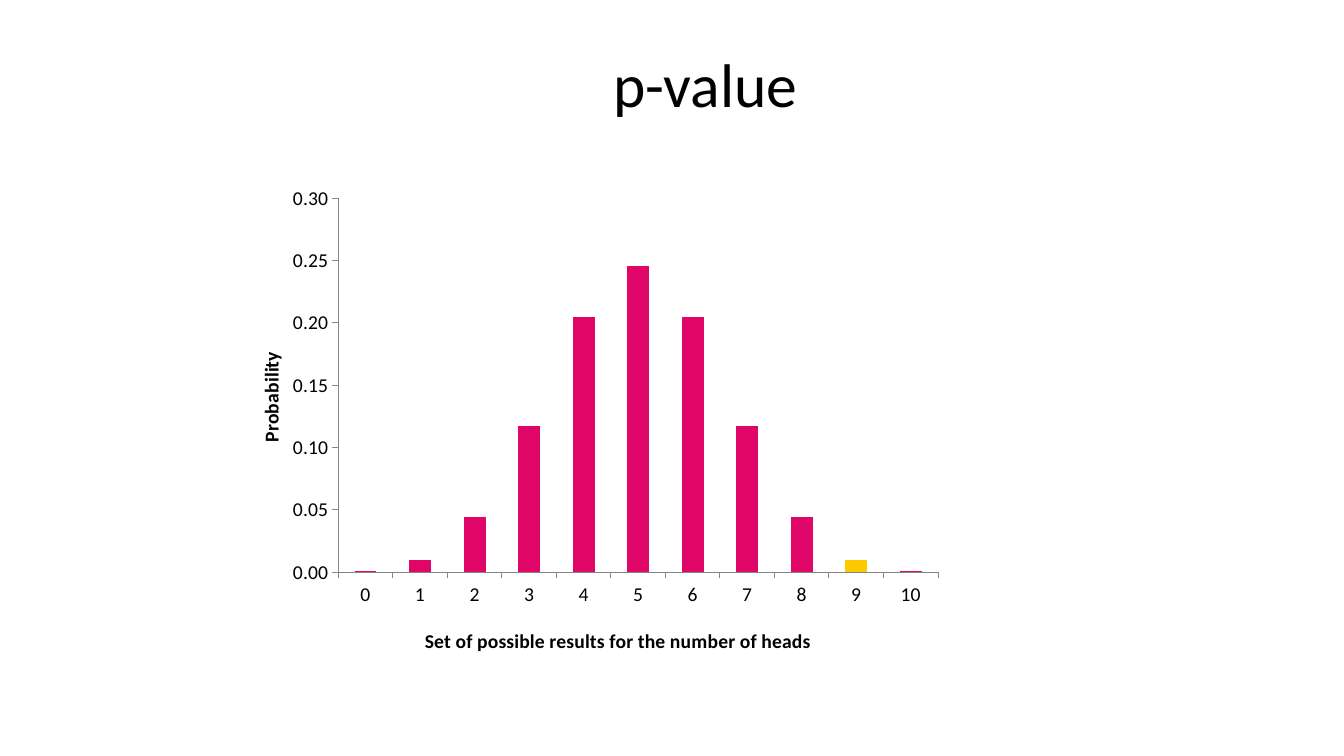
from pptx import Presentation
from pptx.chart.data import CategoryChartData
from pptx.dml.color import RGBColor
from pptx.enum.chart import XL_CHART_TYPE, XL_TICK_MARK
from pptx.enum.text import MSO_ANCHOR, PP_ALIGN
from pptx.oxml import parse_xml
from pptx.oxml.ns import nsdecls, qn
from pptx.util import Pt

FONT = "Calibri"
COLORS = {"text": "000000", "bar": "DF0667", "observed": "FBC900", "axis": "868686"}
PROBABILITIES = [0.001, 0.01, 0.044, 0.117, 0.205, 0.246,
                 0.205, 0.117, 0.044, 0.01, 0.001]
OBSERVED_HEADS = 9


def rgb(name):
    return RGBColor.from_string(COLORS[name])


def style_font(font, size, bold=False):
    font.name = FONT
    font.size = Pt(size)
    font.bold = bold
    font.color.rgb = rgb("text")


def set_layout(element, index, **fractions):
    """Place a chart part by fractions of the chart's size."""
    for old in element.findall(qn("c:layout")):
        element.remove(old)
    target = '<c:layoutTarget val="inner"/>' if "w" in fractions else ""
    modes = "".join(f'<c:{k}Mode val="edge"/>' for k in "xy")
    values = "".join(f'<c:{k} val="{v}"/>' for k, v in fractions.items())
    element.insert(index, parse_xml(
        f'<c:layout {nsdecls("c")}><c:manualLayout>{target}{modes}{values}'
        '</c:manualLayout></c:layout>'))


def add_title(s, text, left, top, width, height):
    sp = s.shapes.title
    sp.left, sp.top, sp.width, sp.height = Pt(left), Pt(top), Pt(width), Pt(height)
    tf = sp.text_frame
    tf.vertical_anchor = MSO_ANCHOR.MIDDLE
    p = tf.paragraphs[0]
    p.alignment = PP_ALIGN.CENTER
    r = p.add_run()
    r.text = text
    style_font(r.font, 44)


def style_axis(axis, title, x, y):
    axis.has_major_gridlines = False
    axis.major_tick_mark = XL_TICK_MARK.OUTSIDE
    axis.minor_tick_mark = XL_TICK_MARK.NONE
    axis.format.line.color.rgb = rgb("axis")
    axis.format.line.width = Pt(0.75)
    style_font(axis.tick_labels.font, 14)
    r = axis.axis_title.text_frame.paragraphs[0].add_run()
    r.text = title
    style_font(r.font, 14, bold=True)
    set_layout(axis.axis_title._element, 1, x=x, y=y)


def add_probability_chart(s, left, top, width, height):
    data = CategoryChartData(number_format="#,##0.00")
    data.categories = [str(heads) for heads in range(len(PROBABILITIES))]
    data.add_series("Series 1", PROBABILITIES)
    chart = s.shapes.add_chart(XL_CHART_TYPE.COLUMN_CLUSTERED, Pt(left), Pt(top),
                               Pt(width), Pt(height), data).chart
    chart.has_title = False
    chart.has_legend = False
    style_font(chart.font, 14)

    # Bars, with the observed result highlighted
    plot = chart.plots[0]
    plot.gap_width = 150
    plot.vary_by_categories = False
    series = plot.series[0]
    point = series.points[OBSERVED_HEADS]
    for part, color in ((series, "bar"), (point, "observed")):
        part.format.fill.solid()
        part.format.fill.fore_color.rgb = rgb(color)
    set_layout(plot._element.getparent(), 0, x=0.156, y=0.046, w=0.824, h=0.759)

    # Axes
    style_axis(chart.category_axis,
               "Set of possible results for the number of heads", 0.27, 0.91)
    axis = chart.value_axis
    style_axis(axis, "Probability", 0.04, 0.35)
    axis.minimum_scale, axis.maximum_scale, axis.major_unit = 0, 0.3, 0.05
    axis.tick_labels.number_format = "#,##0.00"
    axis.tick_labels.number_format_is_linked = False


def main():
    prs = Presentation()
    prs.slide_width, prs.slide_height = Pt(960), Pt(540)
    s = prs.slides.add_slide(prs.slide_layouts[5])
    add_title(s, "p-value", 8, 14.5, 991.5, 90)
    add_probability_chart(s, 160.5, 125.5, 520, 352)
    prs.save("out.pptx")


if __name__ == "__main__":
    main()
